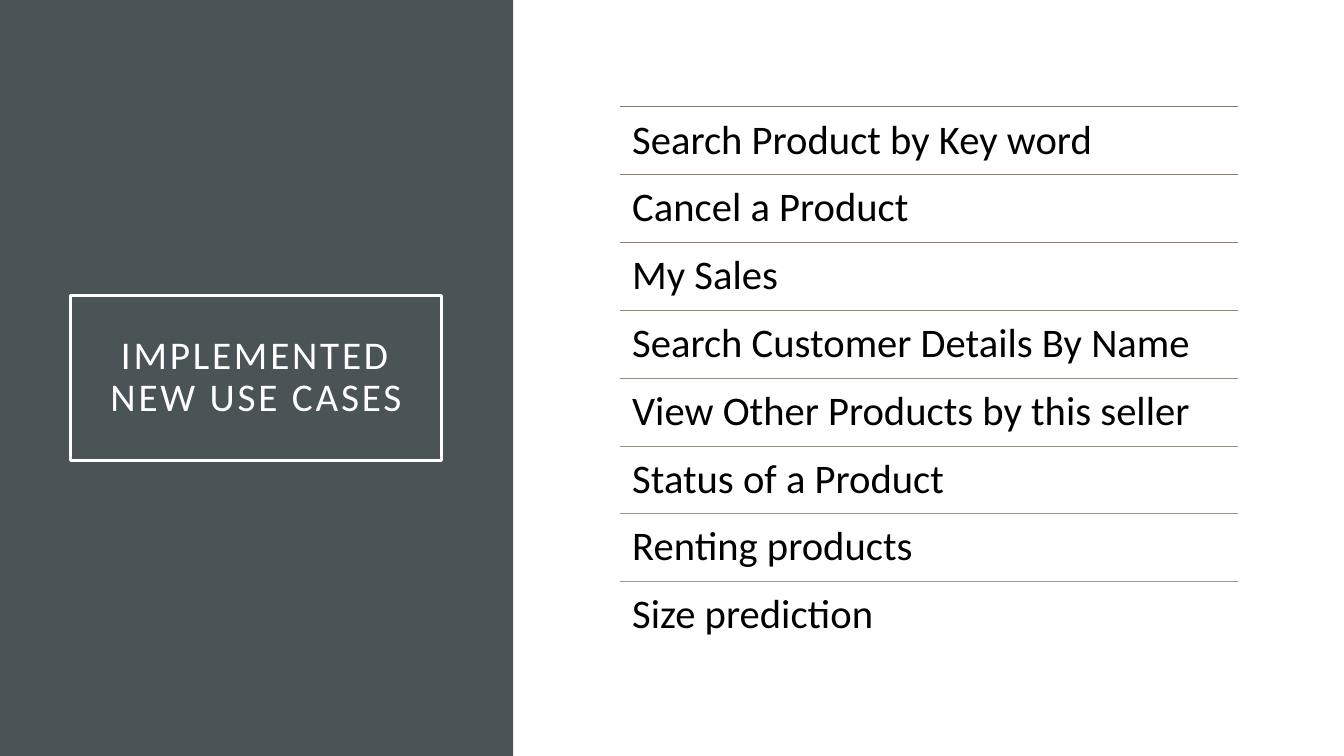
from dataclasses import dataclass

from lxml.etree import SubElement
from pptx import Presentation
from pptx.dml.color import RGBColor
from pptx.enum.shapes import MSO_CONNECTOR as Connector, MSO_SHAPE as Preset
from pptx.enum.text import MSO_ANCHOR as Anchor, MSO_AUTO_SIZE as AutoSize, PP_ALIGN as Align
from pptx.oxml.ns import qn
from pptx.shapes.group import GroupShape
from pptx.text.text import TextFrame
from pptx.util import Inches, Pt

SLIDE_WIDTH, SLIDE_HEIGHT = Inches(13.33), Inches(7.5)
FONT = "Calibri"
WHITE = RGBColor(0xFF, 0xFF, 0xFF)
BLACK = RGBColor(0x00, 0x00, 0x00)
SLATE = RGBColor(0x4A, 0x53, 0x56)

# Shares of the slide's size, in percent
PANEL_WIDTH = 38.18
TITLE_LEFT, TITLE_TOP, TITLE_WIDTH, TITLE_HEIGHT = 5.25, 39.07, 27.61, 21.87
LIST_LEFT, LIST_TOP, LIST_WIDTH, ROW_HEIGHT = 46.14, 14.13, 45.99, 8.97


@dataclass(frozen=True)
class UseCase:
    name: str
    rule_color: RGBColor


USE_CASES = [
    UseCase("Search Product by Key word", RGBColor(0x87, 0x79, 0x5D)),
    UseCase("Cancel a Product", RGBColor(0x8C, 0x7E, 0x63)),
    UseCase("My Sales", RGBColor(0x90, 0x82, 0x69)),
    UseCase("Search Customer Details By Name", RGBColor(0x94, 0x86, 0x6F)),
    UseCase("View Other Products by this seller", RGBColor(0x97, 0x8B, 0x77)),
    UseCase("Status of a Product", RGBColor(0x9A, 0x8F, 0x7E)),
    UseCase("Renting products", RGBColor(0x9D, 0x93, 0x85)),
    UseCase("Size prediction", RGBColor(0xA0, 0x98, 0x8C)),
]


def across(percent: float) -> int:
    return round(SLIDE_WIDTH * percent / 100)


def down(percent: float) -> int:
    return round(SLIDE_HEIGHT * percent / 100)


def write_text(frame: TextFrame, text: str, *, size: float, color: RGBColor,
               inset: float, align: Align = Align.LEFT,
               anchor: Anchor = Anchor.TOP, tracking: float = 0) -> None:
    frame.word_wrap = True
    frame.auto_size = AutoSize.NONE
    frame.vertical_anchor = anchor
    frame.margin_left = frame.margin_right = Inches(inset)
    frame.margin_top = frame.margin_bottom = Inches(inset)
    paragraph = frame.paragraphs[0]
    paragraph.alignment = align
    paragraph.line_spacing = 0.9
    run = paragraph.add_run()
    run.text = text
    run.font.name = FONT
    run.font.size = Pt(size)
    run.font.color.rgb = color
    if tracking:
        run.font._element.set("spc", str(round(tracking * 100)))


def draw_use_case(group: GroupShape, row: int, use_case: UseCase) -> None:
    left, width = across(LIST_LEFT), across(LIST_WIDTH)
    top = down(LIST_TOP + row * ROW_HEIGHT)
    rule = group.shapes.add_connector(Connector.STRAIGHT, left, top, left + width, top)
    rule.line.color.rgb = use_case.rule_color
    rule.line.width = Pt(0.5)
    SubElement(rule._element.spPr, qn("a:effectLst"))
    label = group.shapes.add_textbox(left, top, width, down(ROW_HEIGHT))
    write_text(label.text_frame, use_case.name, size=29, color=BLACK, inset=0.12)


def main() -> None:
    presentation = Presentation()
    presentation.slide_width, presentation.slide_height = SLIDE_WIDTH, SLIDE_HEIGHT
    title_only = presentation.slide_layouts[5]
    slide = presentation.slides.add_slide(title_only)
    slide.background.fill.solid()
    slide.background.fill.fore_color.rgb = WHITE

    # Dark side panel
    panel = slide.shapes.add_shape(Preset.RECTANGLE, 0, 0, across(PANEL_WIDTH), SLIDE_HEIGHT)
    panel.shadow.inherit = False
    panel.fill.solid()
    panel.fill.fore_color.rgb = SLATE
    panel.line.fill.background()

    # Framed title, raised above the panel
    title = slide.shapes.title
    slide.shapes._spTree.append(title._element)
    title.left, title.top = across(TITLE_LEFT), down(TITLE_TOP)
    title.width, title.height = across(TITLE_WIDTH), down(TITLE_HEIGHT)
    title.line.color.rgb = WHITE
    title.line.width = Pt(2.5)
    write_text(title.text_frame, "IMPLEMENTED NEW USE CASES", size=28, color=WHITE,
               inset=0.2, align=Align.CENTER, anchor=Anchor.MIDDLE, tracking=2)

    # Ruled list of use cases
    group = slide.shapes.add_group_shape()
    for row, use_case in enumerate(USE_CASES):
        draw_use_case(group, row, use_case)

    presentation.save("out.pptx")


if __name__ == "__main__":
    main()
